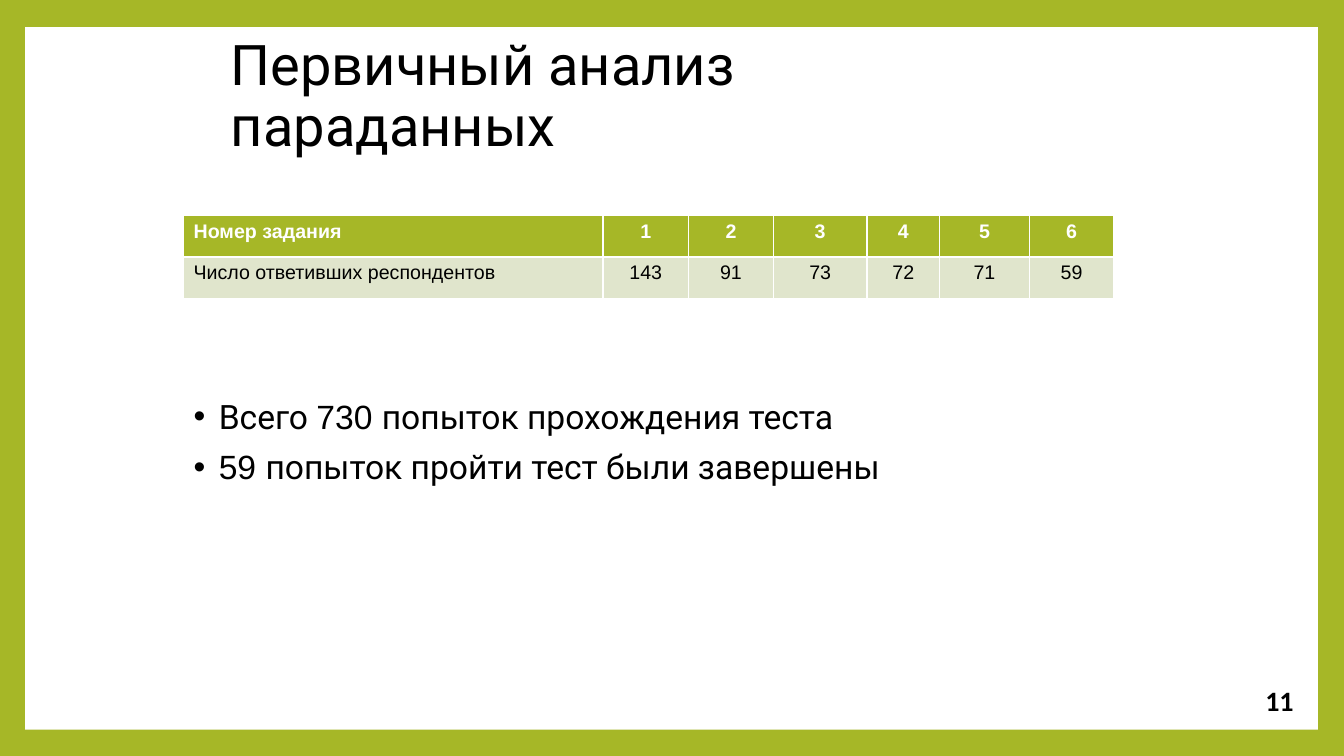
import pptx
import pptx.util
import pptx.dml.color
import pptx.enum.shapes
import pptx.enum.text
import pptx.oxml
import pptx.oxml.ns

Inches = pptx.util.Inches
Pt = pptx.util.Pt
ALIGN = pptx.enum.text.PP_ALIGN
ANCHOR = pptx.enum.text.MSO_ANCHOR

COLORS = {"green": "A6B727", "pale": "E0E5CC", "white": "FFFFFF", "black": "000000"}

TITLE = "Первичный анализ параданных"
BULLETS = [
    [("Всего ", "Roboto"), ("730 ", "Arial"), ("попыток прохождения теста", "Roboto")],
    [("59 ", "Arial"), ("попыток пройти тест были завершены", "Roboto")],
]
PAGE_NUMBER = "11"
TABLE_ROWS = [
    ["Номер задания", "1", "2", "3", "4", "5", "6"],
    ["Число ответивших респондентов", "143", "91", "73", "72", "71", "59"],
]
COLUMN_WIDTHS = [4.16, 0.85, 0.84, 0.93, 0.72, 0.89, 0.84]
ROW_HEIGHT = 0.41


def color(name):
    return pptx.dml.color.RGBColor.from_string(COLORS[name])


def paint(fill, name):
    fill.solid()
    fill.fore_color.rgb = color(name)


def style(span, font, size, name="black", bold=False):
    span.font.name = font
    span.font.size = Pt(size)
    span.font.bold = bold
    span.font.color.rgb = color(name)


def place(box, left, top, width, height):
    box.left, box.top = Inches(left), Inches(top)
    box.width, box.height = Inches(width), Inches(height)


def add_panel(page):
    panel = page.shapes.add_shape(
        pptx.enum.shapes.MSO_SHAPE.RECTANGLE,
        Inches(0.25), Inches(0.27), Inches(12.82), Inches(6.97))
    panel.shadow.inherit = False
    paint(panel.fill, "white")
    panel.line.fill.background()
    page.shapes._spTree.insert(2, panel._element)


def add_title(page):
    title = page.shapes.title
    place(title, 2.19, 0.35, 8.05, 1.24)
    frame = title.text_frame
    frame.text = TITLE
    frame.auto_size = pptx.enum.text.MSO_AUTO_SIZE.NONE
    frame.vertical_anchor = ANCHOR.MIDDLE
    para = frame.paragraphs[0]
    para.alignment = ALIGN.LEFT
    para.line_spacing = 0.9
    style(para.runs[0], "Roboto", 40)


def add_bullets(page):
    body = page.placeholders[1]
    place(body, 1.82, 3.92, 8.03, 1.66)
    frame = body.text_frame
    frame.auto_size = pptx.enum.text.MSO_AUTO_SIZE.NONE
    for index, parts in enumerate(BULLETS):
        para = frame.add_paragraph() if index else frame.paragraphs[0]
        para.line_spacing = 0.9
        para.space_before = Pt(10 if index else 0)
        settings = para._p.get_or_add_pPr()
        settings.set("marL", str(Inches(0.25)))
        settings.set("indent", str(-Inches(0.25)))
        for text, font in parts:
            span = para.add_run()
            span.text = text
            style(span, font, 24)


def add_page_number(page):
    box = page.shapes.add_textbox(Inches(11.06), Inches(6.75), Inches(1.87), Inches(0.4))
    frame = box.text_frame
    frame.word_wrap = True
    frame.vertical_anchor = ANCHOR.MIDDLE
    frame.text = PAGE_NUMBER
    para = frame.paragraphs[0]
    para.alignment = ALIGN.RIGHT
    style(para.runs[0], "Calibri", 20, bold=True)


def add_borders(cell):
    settings = cell._tc.get_or_add_tcPr()
    for position, side in enumerate(("lnL", "lnR", "lnT", "lnB")):
        settings.insert(position, pptx.oxml.parse_xml(
            f'<a:{side} {pptx.oxml.ns.nsdecls("a")} w="{Pt(0.96)}"><a:solidFill>'
            f'<a:srgbClr val="{COLORS["white"]}"/></a:solidFill></a:{side}>'))


def add_answer_table(page):
    table = page.shapes.add_table(
        len(TABLE_ROWS), len(COLUMN_WIDTHS), Inches(1.82), Inches(2.14),
        Inches(sum(COLUMN_WIDTHS)), Inches(ROW_HEIGHT * len(TABLE_ROWS))).table
    for column, width in zip(table.columns, COLUMN_WIDTHS):
        column.width = Inches(width)
    for row_index, values in enumerate(TABLE_ROWS):
        header = row_index == 0
        table.rows[row_index].height = Inches(ROW_HEIGHT)
        for column_index, value in enumerate(values):
            cell = table.cell(row_index, column_index)
            cell.text = value
            paint(cell.fill, "green" if header else "pale")
            add_borders(cell)
            para = cell.text_frame.paragraphs[0]
            para.alignment = ALIGN.CENTER if column_index else ALIGN.LEFT
            style(para.runs[0], "Arial", 14, "white" if header else "black", header)


def main():
    deck = pptx.Presentation()
    deck.slide_width, deck.slide_height = Inches(13.33), Inches(7.5)
    page = deck.slides.add_slide(deck.slide_layouts[1])
    paint(page.background.fill, "green")
    add_panel(page)
    add_title(page)
    add_bullets(page)
    add_page_number(page)
    add_answer_table(page)
    deck.save("out.pptx")


if __name__ == "__main__":
    main()
